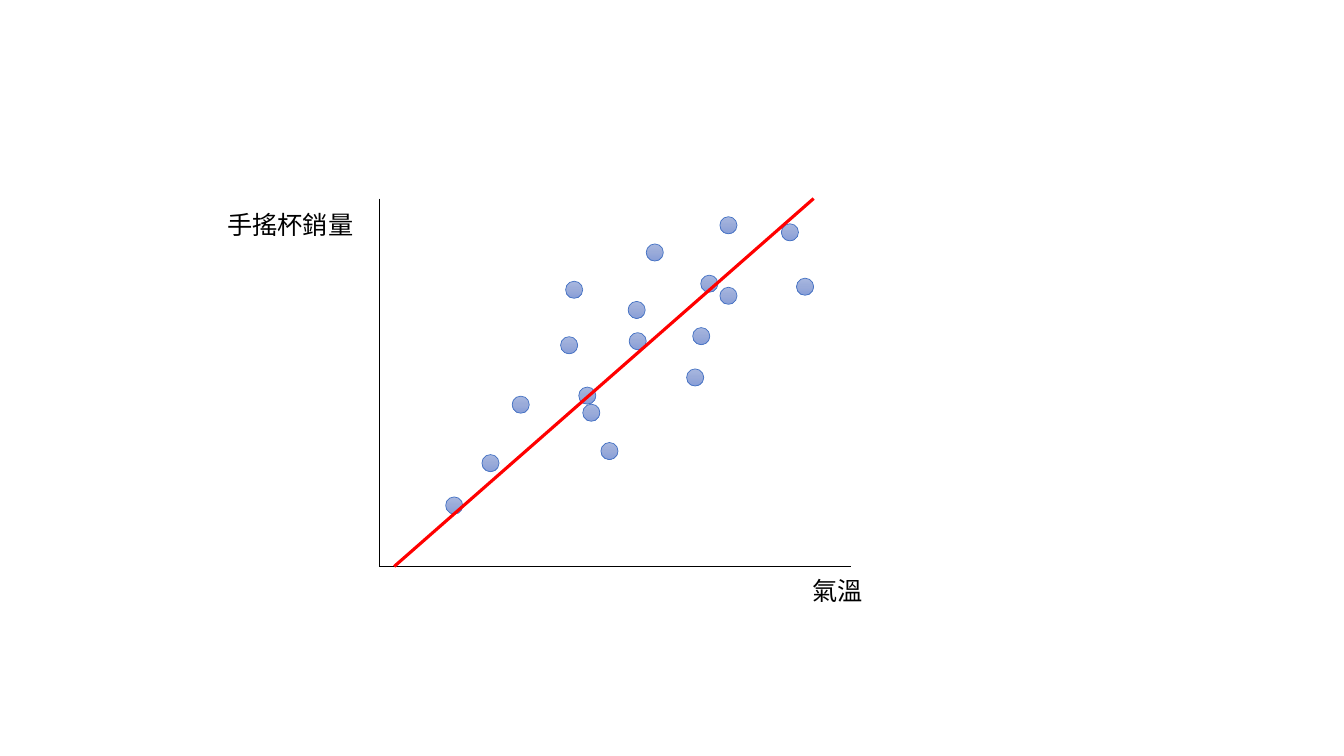
"""Build a scatter of drink sales against temperature with a trend line."""
from copy import deepcopy

from lxml.etree import SubElement
from pptx import Presentation
from pptx.dml.color import RGBColor
from pptx.enum.shapes import MSO_CONNECTOR, MSO_SHAPE
from pptx.enum.text import MSO_AUTO_SIZE, PP_ALIGN
from pptx.oxml.ns import qn
from pptx.util import Inches, Pt

HUES = {"ink": "000000", "trend": "FF0000", "edge": "4472C4",
        "light": "A8B7DF", "mid": "9AABD9", "deep": "889ED7"}
FONT = "Noto Sans CJK JP"
DOT = 0.17
LEFT, TOP, BASE = 3.76, 1.97, 5.62

deck = Presentation()
deck.slide_width, deck.slide_height = Inches(13.33), Inches(7.5)
slide = deck.slides.add_slide(deck.slide_layouts[6])


def label(text, left, top, width, height, size=18, hue="ink"):
    box = slide.shapes.add_textbox(*map(Inches, (left, top, width, height)))
    frame = box.text_frame
    frame.word_wrap = True
    frame.auto_size = MSO_AUTO_SIZE.SHAPE_TO_FIT_TEXT
    line = frame.paragraphs[0]
    line.alignment = PP_ALIGN.CENTER
    run = line.add_run()
    run.text = text
    run.font.size = Pt(size)
    run.font.name = FONT
    run.font.color.rgb = RGBColor.from_string(HUES[hue])
    SubElement(run.font._element, qn("a:ea"), typeface=FONT)


def rule(start, end, hue, width):
    line = slide.shapes.add_connector(MSO_CONNECTOR.STRAIGHT, *map(Inches, start + end))
    line.line.color.rgb = RGBColor.from_string(HUES[hue])
    line.line.width = Pt(width)
    SubElement(line._element.spPr, qn("a:effectLst"))


rule((LEFT, TOP), (LEFT, BASE), "ink", 0.75)
rule((8.44, BASE), (LEFT, BASE), "ink", 0.5)

dots = [(5.56, 3.34), (4.78, 4.51), (5.08, 3.93), (6.24, 3.3), (5.96, 4.39), (5.78, 4.01),
        (7.14, 2.85), (6.81, 3.66), (4.42, 4.93), (6.41, 2.42), (7.14, 2.15), (7.9, 2.76),
        (5.61, 2.79), (6.87, 3.25), (7.75, 2.22), (6.23, 2.99), (5.74, 3.84), (6.95, 2.73)]
for left, top in dots:
    dot = slide.shapes.add_shape(MSO_SHAPE.OVAL, *map(Inches, (left, top, DOT, DOT)))
    dot.shadow.inherit = False
    dot.line.color.rgb = RGBColor.from_string(HUES["edge"])
    dot.line.width = Pt(0.5)
    dot.fill.gradient()
    dot.fill.gradient_angle = 270
    first = dot._element.spPr.find(".//" + qn("a:gs"))
    first.addnext(deepcopy(first))
    shades = zip(dot.fill.gradient_stops, (0, 0.5, 1), ("light", "mid", "deep"))
    for stop, place, hue in shades:
        stop.position = place
        stop.color.rgb = RGBColor.from_string(HUES[hue])

rule((8.07, TOP), (3.91, BASE), "trend", 2.25)
label("氣溫", 7.92, 5.66, 0.78, 0.4)
label("手搖杯銷量", 2.09, 2.03, 1.58, 0.4)

deck.save("out.pptx")
